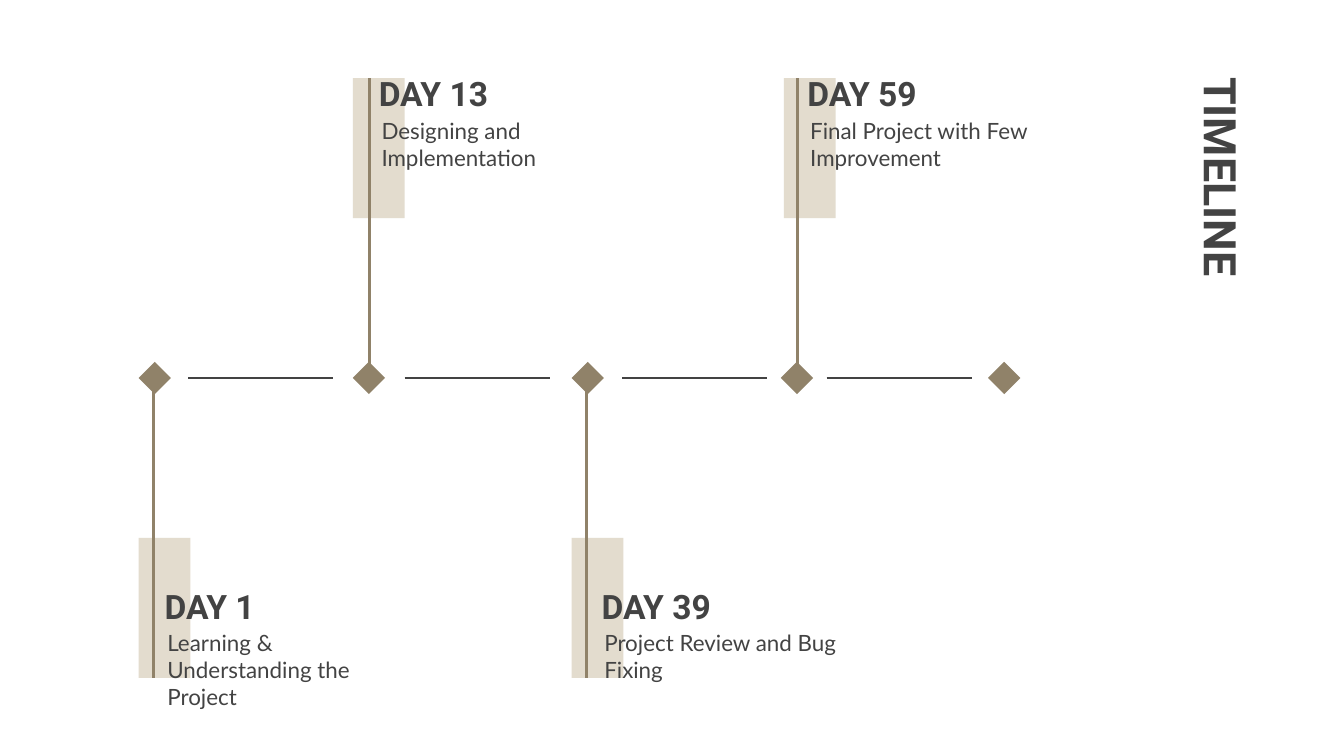
import dataclasses

import pptx
import pptx.dml.color
import pptx.enum.shapes
import pptx.enum.text
import pptx.oxml.ns
import pptx.util
from lxml import etree

SHAPES = pptx.enum.shapes.MSO_SHAPE
COLUMNS, ROWS = 100, 56.25  # grid of tenth-inch cells, 16:9


@dataclasses.dataclass(frozen=True)
class Theme:
    ink: str = "434343"
    accent: str = "908269"
    tag: str = "CFC3AC"
    tag_opacity: int = 58
    heading_font: str = "Roboto"
    body_font: str = "Lato"
    title_size: int = 24
    day_size: int = 18
    body_size: int = 12
    line_width: float = 1.5


@dataclasses.dataclass(frozen=True)
class Milestone:
    day: str
    detail: str
    tag: float  # column of the tinted tag
    stem: float  # column offset of the stem from the tag
    label: float  # column offset of the day label from the tag


THEME = Theme()
UPPER = [
    Milestone("DAY 13", "Designing and Implementation", 26.25, 1.25, 0.95),
    Milestone("DAY 59", "Final Project with Few Improvement", 58.32, 1, 0.78),
]
LOWER = [
    Milestone("DAY 1", "Learning & Understanding the Project", 10.32, 1.1, 0.95),
    Milestone("DAY 39", "Project Review and Bug Fixing", 42.53, 1.1, 1.25),
]
MARKERS = [10.32, 26.25, 42.53, 58.1, 73.52]
DASHES = [14, 30.1, 46.3, 61.5]
DASH_LENGTH = 10.8
MARKER_SIZE = 2.4
TAG_WIDTH, TAG_HEIGHT = 3.86, 10.42
DETAIL_INDENT = 0.2


def cells(*values):
    return [pptx.util.Inches(value / 10) for value in values]


def rgb(value):
    return pptx.dml.color.RGBColor.from_string(value)


def add_block(shapes, kind, box, color, opacity=100):
    shape = shapes.add_shape(kind, *cells(*box))
    shape.shadow.inherit = False
    shape.fill.solid()
    shape.fill.fore_color.rgb = rgb(color)
    shape.line.fill.background()
    if opacity < 100:
        color_element = shape._element.spPr.find(".//" + pptx.oxml.ns.qn("a:srgbClr"))
        alpha = etree.SubElement(color_element, pptx.oxml.ns.qn("a:alpha"))
        alpha.set("val", str(opacity * 1000))


def add_line(shapes, start, end, color):
    connector = shapes.add_connector(
        pptx.enum.shapes.MSO_CONNECTOR.STRAIGHT, *cells(*start, *end))
    connector.line.color.rgb = rgb(color)
    connector.line.width = pptx.util.Pt(THEME.line_width)
    etree.SubElement(connector._element.spPr, pptx.oxml.ns.qn("a:effectLst"))


def add_text(shapes, box, text, font_name, size, bold=False):
    text_box = shapes.add_textbox(*cells(*box))
    frame = text_box.text_frame
    frame.word_wrap = True
    frame.vertical_anchor = pptx.enum.text.MSO_ANCHOR.TOP
    frame.margin_left, frame.margin_top, frame.margin_right, frame.margin_bottom = cells(1, 1, 1, 1)
    paragraph = frame.paragraphs[0]
    paragraph.text = text
    paragraph.font.name = font_name
    paragraph.font.size = pptx.util.Pt(size)
    paragraph.font.bold = bold
    paragraph.font.color.rgb = rgb(THEME.ink)
    return text_box


def add_milestone(shapes, milestone, top, stem_rows, label_drop, detail_drop):
    """Place a tag at the given row, with its stem and texts."""
    left = milestone.tag
    add_block(shapes, SHAPES.RECTANGLE, (left, top, TAG_WIDTH, TAG_HEIGHT),
              THEME.tag, THEME.tag_opacity)
    stem = left + milestone.stem
    add_line(shapes, (stem, stem_rows[0]), (stem, stem_rows[1]), THEME.accent)
    label, label_top = left + milestone.label, top + label_drop
    add_text(shapes, (label + DETAIL_INDENT, label_top + detail_drop, 20.2, 7.4),
             milestone.detail, THEME.body_font, THEME.body_size)
    add_text(shapes, (label, label_top, 12.4, 4.9),
             milestone.day, THEME.heading_font, THEME.day_size, bold=True)


def add_axis(shapes, row):
    """Group the diamonds and dashes centred on the given row."""
    axis = shapes.add_group_shape().shapes
    for left in MARKERS:
        add_block(axis, SHAPES.DIAMOND,
                  (left, row - MARKER_SIZE / 2, MARKER_SIZE, MARKER_SIZE), THEME.accent)
    for left in DASHES:
        add_line(axis, (left, row), (left + DASH_LENGTH, row), THEME.ink)


def add_title(shapes, box):
    title = add_text(shapes, box, "TIMELINE", THEME.heading_font, THEME.title_size, bold=True)
    title.rotation = 90


def main():
    presentation = pptx.Presentation()
    presentation.slide_width, presentation.slide_height = cells(COLUMNS, ROWS)
    slide = presentation.slides.add_slide(presentation.slide_layouts[6])
    shapes = slide.shapes

    # Milestones above and below the axis
    for milestone in UPPER:
        add_milestone(shapes, milestone, 5.82, (28.8, 5.82), -1.4, 3.3)
    for milestone in LOWER:
        add_milestone(shapes, milestone, 40.02, (50.44, 28.2), 2.6, 3.2)

    # Axis and vertical title
    add_axis(shapes, ROWS / 2)
    add_title(shapes, (72.2, 21.15, 38.1, 5.3))

    presentation.save("out.pptx")


if __name__ == "__main__":
    main()
